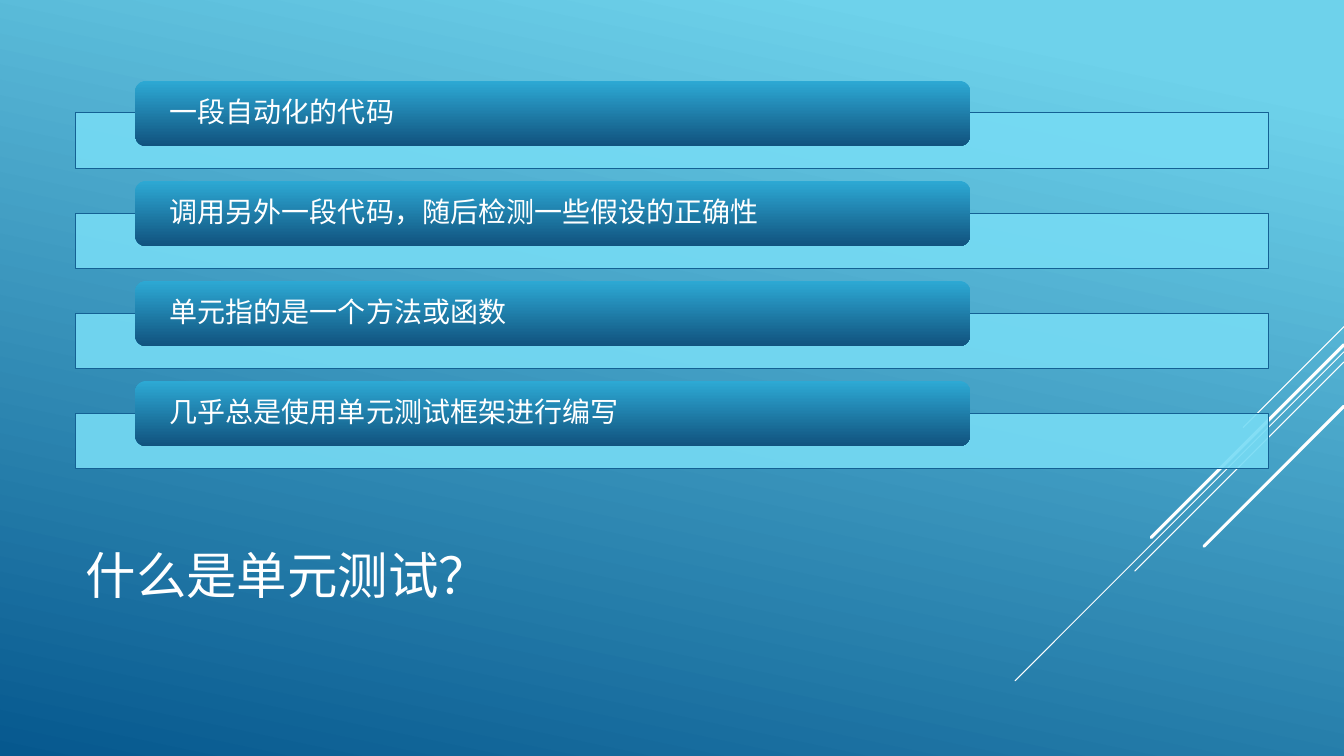
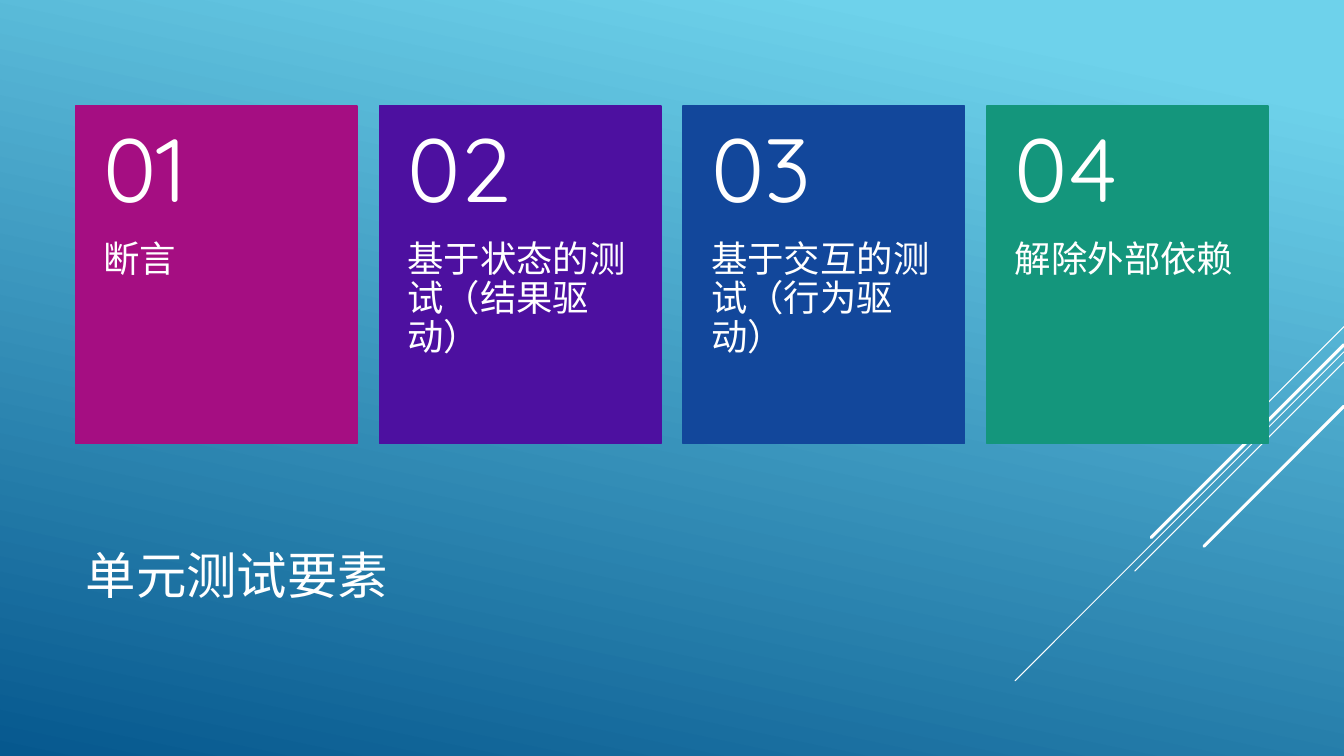
from lxml import etree
from pptx import Presentation
from pptx.dml.color import RGBColor
from pptx.enum.shapes import MSO_CONNECTOR, MSO_SHAPE
from pptx.enum.text import MSO_ANCHOR, MSO_AUTO_SIZE, PP_ALIGN
from pptx.oxml.ns import qn
from pptx.util import Pt

RECTANGLE = MSO_SHAPE.RECTANGLE
ROUNDED = MSO_SHAPE.ROUNDED_RECTANGLE
STRAIGHT = MSO_CONNECTOR.STRAIGHT
TOP, MIDDLE = MSO_ANCHOR.TOP, MSO_ANCHOR.MIDDLE
LEFT = PP_ALIGN.LEFT
NO_AUTOFIT = MSO_AUTO_SIZE.NONE

WHITE = RGBColor(0xFF, 0xFF, 0xFF)
SKY = RGBColor(0x6E, 0xD2, 0xEB)
DEEP_BLUE = RGBColor(0x06, 0x58, 0x8E)
STRIP_FILL = RGBColor(0x76, 0xDB, 0xF4)
STRIP_EDGE = RGBColor(0x14, 0x61, 0x94)
PILL_TOP = RGBColor(0x2D, 0xA9, 0xD4)
PILL_BOTTOM = RGBColor(0x11, 0x53, 0x7F)
MAGENTA = RGBColor(0xA5, 0x0E, 0x82)
PURPLE = RGBColor(0x4D, 0x10, 0xA0)
BLUE = RGBColor(0x12, 0x47, 0x9B)
GREEN = RGBColor(0x14, 0x96, 0x7C)

FONT = "Quicksand"
PAGE_WIDTH, PAGE_HEIGHT = 960, 540
CONTENT_LEFT, CONTENT_WIDTH = 54, 852
TITLE_BOX = (CONTENT_LEFT, 353.5, 672, 118.8)

# Diagonals leave the right edge at 45 degrees: start height, run, line width
DIAGONALS = [
    (233.3, 72, 0.75),
    (251.3, 234.9, 0.75),
    (258.5, 149.4, 0.75),
    (246.2, 137.7, 2.25),
    (290.2, 100, 2.25),
]

DEFINITION = [
    "一段自动化的代码",
    "调用另外一段代码，随后检测一些假设的正确性",
    "单元指的是一个方法或函数",
    "几乎总是使用单元测试框架进行编写",
]
ELEMENTS = [
    ("断言", MAGENTA),
    ("基于状态的测试（结果驱动）", PURPLE),
    ("基于交互的测试（行为驱动）", BLUE),
    ("解除外部依赖", GREEN),
]


def set_gradient(fill, start, end, angle, first_stop=0):
    """Fill from start to end; the angle runs clockwise."""
    fill.gradient()
    fill.gradient_angle = 360 - angle
    for stop, color, position in zip(fill.gradient_stops, (start, end), (first_stop, 1)):
        stop.color.rgb = color
        stop.position = position


def set_opacity(shape, percent):
    color = shape.fill._xPr.find(qn("a:solidFill"))[0]
    etree.SubElement(color, qn("a:alpha"), val=str(percent * 1000))


def write(shape, text, size, anchor=MIDDLE, insets=(7.2, 3.6, 7.2, 3.6), spacing=0.9):
    frame = shape.text_frame
    frame.word_wrap = True
    frame.auto_size = NO_AUTOFIT
    frame.vertical_anchor = anchor
    (frame.margin_left, frame.margin_top,
     frame.margin_right, frame.margin_bottom) = map(Pt, insets)
    para = frame.paragraphs[0]
    para.alignment = LEFT
    para.line_spacing = spacing
    span = para.add_run()
    span.text = text
    span.font.name = FONT
    span.font.size = Pt(size)
    span.font.color.rgb = WHITE


def add_box(page, kind, box, color=None, edge=None, edge_width=0.75):
    shape = page.shapes.add_shape(kind, *map(Pt, box))
    shape.shadow.inherit = False
    if color is not None:
        shape.fill.solid()
        shape.fill.fore_color.rgb = color
    if edge is None:
        shape.line.fill.background()
    else:
        shape.line.color.rgb = edge
        shape.line.width = Pt(edge_width)
    return shape


def add_label(page, box, text, size, **layout):
    write(page.shapes.add_textbox(*map(Pt, box)), text, size, **layout)


def add_diagonals(page):
    for top, run, width in DIAGONALS:
        ends = (PAGE_WIDTH, top, PAGE_WIDTH - run, top + run)
        line = page.shapes.add_connector(STRAIGHT, *map(Pt, ends))
        line.line.color.rgb = WHITE
        line.line.width = Pt(width)
        line.line._ln.set("cap", "rnd")
        etree.SubElement(line._element.spPr, qn("a:effectLst"))


def add_page(deck, title):
    page = deck.slides.add_slide(deck.slide_layouts.get_by_name("Title Only"))
    heading = page.shapes.title
    heading.left, heading.top, heading.width, heading.height = map(Pt, TITLE_BOX)
    write(heading, title, 36)
    add_diagonals(page)
    return page


def add_bar(page, left, top, width, text):
    """Place a pale strip with a pill that overlaps its upper edge."""
    strip = add_box(page, RECTANGLE, (left, top + 22.9, width, 39.7), STRIP_FILL, STRIP_EDGE)
    set_opacity(strip, 90)
    pill = add_box(page, ROUNDED, (left + 0.05 * width, top, 0.7 * width, 46.5))
    set_gradient(pill.fill, PILL_TOP, PILL_BOTTOM, 90)
    write(pill, text, 20, insets=(22.4, 0, 22.4, 0))


def add_card(page, left, top, width, height, number, text, color):
    add_box(page, RECTANGLE, (left, top, width, height), color, color, 1.25)
    split = 0.4 * height
    add_label(page, (left, top + split, width, height - split), text, 26,
              anchor=TOP, insets=(19.9, 0, 19.9, 26))
    add_label(page, (left, top, width, split), f"{number:02}", 64,
              insets=(19.9, 13, 19.9, 13))


def add_definition_page(deck):
    page = add_page(deck, "什么是单元测试？")
    for index, text in enumerate(DEFINITION):
        add_bar(page, CONTENT_LEFT, 57.8 + index * 71.45, CONTENT_WIDTH, text)


def add_elements_page(deck):
    page = add_page(deck, "单元测试要素")
    card_width = 201
    pitch = (CONTENT_WIDTH - card_width) / (len(ELEMENTS) - 1)
    for index, (text, color) in enumerate(ELEMENTS):
        add_card(page, CONTENT_LEFT + index * pitch, 75.6, card_width, 241.2,
                 index + 1, text, color)


def main():
    deck = Presentation()
    deck.slide_width, deck.slide_height = Pt(PAGE_WIDTH), Pt(PAGE_HEIGHT)
    set_gradient(deck.slide_master.background.fill, SKY, DEEP_BLUE, 102, first_stop=0.1)
    add_definition_page(deck)
    add_elements_page(deck)
    deck.save("out.pptx")


if __name__ == "__main__":
    main()
